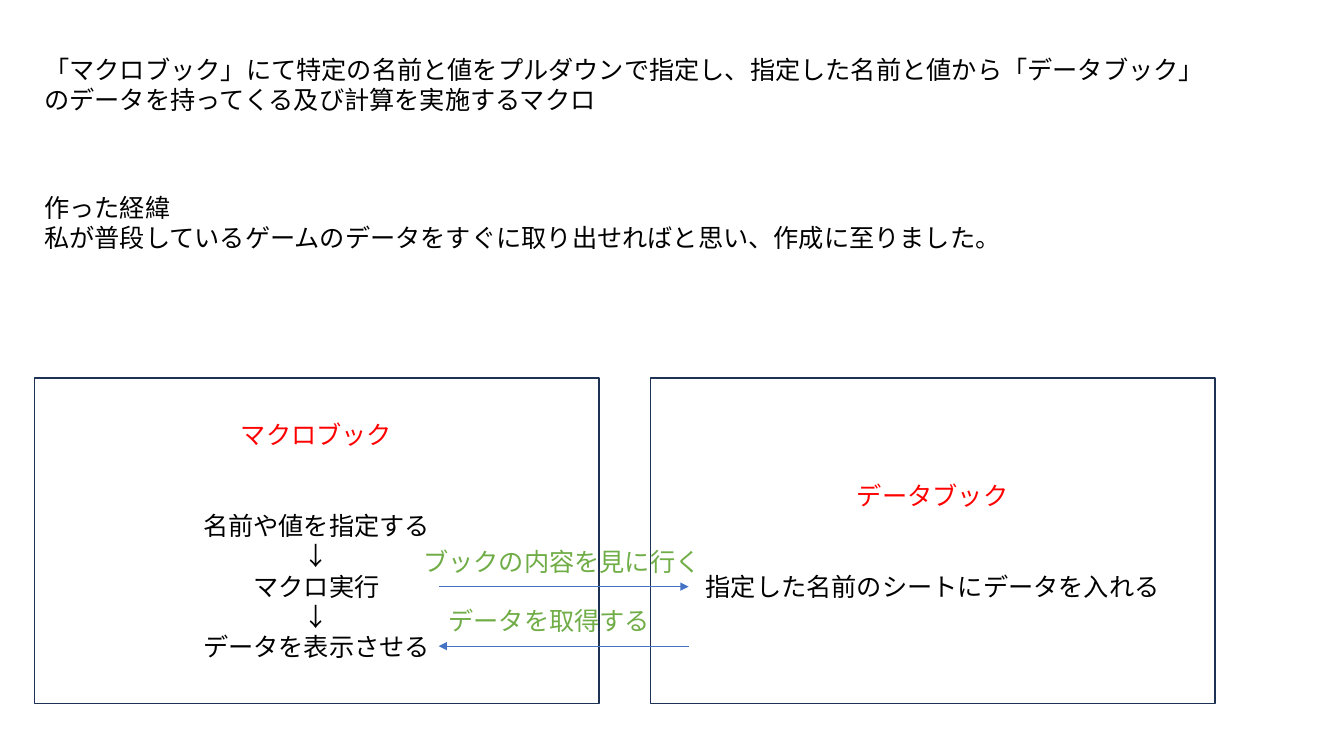
from pptx import Presentation
from pptx.dml.color import RGBColor
from pptx.enum.shapes import MSO_CONNECTOR as Connector, MSO_SHAPE as Shape
from pptx.enum.text import MSO_ANCHOR as Anchor, MSO_AUTO_SIZE as AutoSize, PP_ALIGN as Align
from pptx.oxml.ns import qn
from pptx.util import Inches, Pt
from lxml.etree import SubElement
from dataclasses import dataclass


@dataclass(frozen=True)
class Theme:
    font: str = "Noto Sans CJK JP"
    size: float = 18
    line_pitch: float = 21.6
    heading_gap: float = 43.2
    ink: str = "000000"
    heading: str = "FF0000"
    label: str = "70AD47"
    paper: str = "FFFFFF"
    border: str = "1E3256"
    arrow: str = "4472C4"
    border_width: float = 1
    arrow_width: float = 0.5


THEME = Theme()
LEFT, FULL_WIDTH = 0.34, 11.71
PANEL_TOP, PANEL_WIDTH, PANEL_HEIGHT, PANEL_GAP = 3.75, 5.6, 3.23, 0.51
PANELS = [
    ("マクロブック", ["名前や値を指定する", "↓", "マクロ実行", "↓", "データを表示させる"]),
    ("データブック", ["指定した名前のシートにデータを入れる"]),
]


def color(code):
    return RGBColor.from_string(code)


def apply(target, formats):
    for name, value in formats.items():
        setattr(target, name, value)


def write(frame, lines, align=Align.LEFT, anchor=Anchor.TOP):
    apply(frame, {"word_wrap": True, "auto_size": AutoSize.NONE, "vertical_anchor": anchor})
    for index, (text, ink, gap) in enumerate(lines):
        para = frame.add_paragraph() if index else frame.paragraphs[0]
        apply(para, {"alignment": align, "line_spacing": Pt(THEME.line_pitch),
                     "space_before": Pt(0), "space_after": Pt(gap)})
        span = para.add_run()
        span.text = text
        apply(span.font, {"size": Pt(THEME.size), "name": THEME.font})
        span.font.color.rgb = color(ink)
        SubElement(span.font._element, qn("a:ea"), typeface=THEME.font)


def place(shape, box):
    apply(shape, dict(zip(("left", "top", "width", "height"), map(Inches, box))))


def add_summary(page, box):
    title = page.shapes.title
    place(title, box)
    write(title.text_frame, [(
        "「マクロブック」にて特定の名前と値をプルダウンで指定し、指定した名前と値から"
        "「データブック」のデータを持ってくる及び計算を実施するマクロ", THEME.ink, 0)])


def add_background(page, box):
    body = page.shapes.add_textbox(*map(Inches, box))
    write(body.text_frame, [
        ("作った経緯", THEME.ink, 0),
        ("私が普段しているゲームのデータをすぐに取り出せればと思い、作成に至りました。", THEME.ink, 0)])


def add_panel(page, box, heading, steps):
    panel = page.shapes.add_shape(Shape.RECTANGLE, *map(Inches, box))
    panel.shadow.inherit = False
    panel.fill.solid()
    panel.fill.fore_color.rgb = color(THEME.paper)
    panel.line.color.rgb = color(THEME.border)
    panel.line.width = Pt(THEME.border_width)
    lines = [(heading, THEME.heading, THEME.heading_gap)]
    lines += [(step, THEME.ink, 0) for step in steps]
    write(panel.text_frame, lines, Align.CENTER, Anchor.MIDDLE)


def add_arrow(page, start, end, level):
    arrow = page.shapes.add_connector(
        Connector.STRAIGHT, Inches(start), Inches(level), Inches(end), Inches(level))
    arrow.line.color.rgb = color(THEME.arrow)
    arrow.line.width = Pt(THEME.arrow_width)
    SubElement(arrow.line._get_or_add_ln(), qn("a:tailEnd"), type="triangle")
    SubElement(arrow._element.spPr, qn("a:effectLst"))


def add_exchange(page, box):
    left, top, width, height = box
    right = left + width
    messages = [
        ("ブックの内容を見に行く", left, right, -0.25, 2.99),
        ("データを取得する", right, left, 0, 2.63),
    ]
    for row, (text, start, end, offset, label_width) in enumerate(messages):
        level = top + row * height
        add_arrow(page, start, end, level)
        label = page.shapes.add_textbox(
            *map(Inches, (left + offset, level - 0.45, label_width, 0.4)))
        write(label.text_frame, [(text, THEME.label, 0)])


def main():
    deck = Presentation()
    apply(deck, {"slide_width": Inches(13.33), "slide_height": Inches(7.5)})
    page = deck.slides.add_slide(deck.slide_layouts.get_by_name("Title Only"))
    add_summary(page, (LEFT, 0.49, FULL_WIDTH, 0.71))
    add_background(page, (LEFT, 1.86, FULL_WIDTH, 0.71))
    for column, (heading, steps) in enumerate(PANELS):
        left = LEFT + column * (PANEL_WIDTH + PANEL_GAP)
        add_panel(page, (left, PANEL_TOP, PANEL_WIDTH, PANEL_HEIGHT), heading, steps)
    add_exchange(page, (4.35, 5.82, 2.48, 0.59))
    deck.save("out.pptx")


if __name__ == "__main__":
    main()
